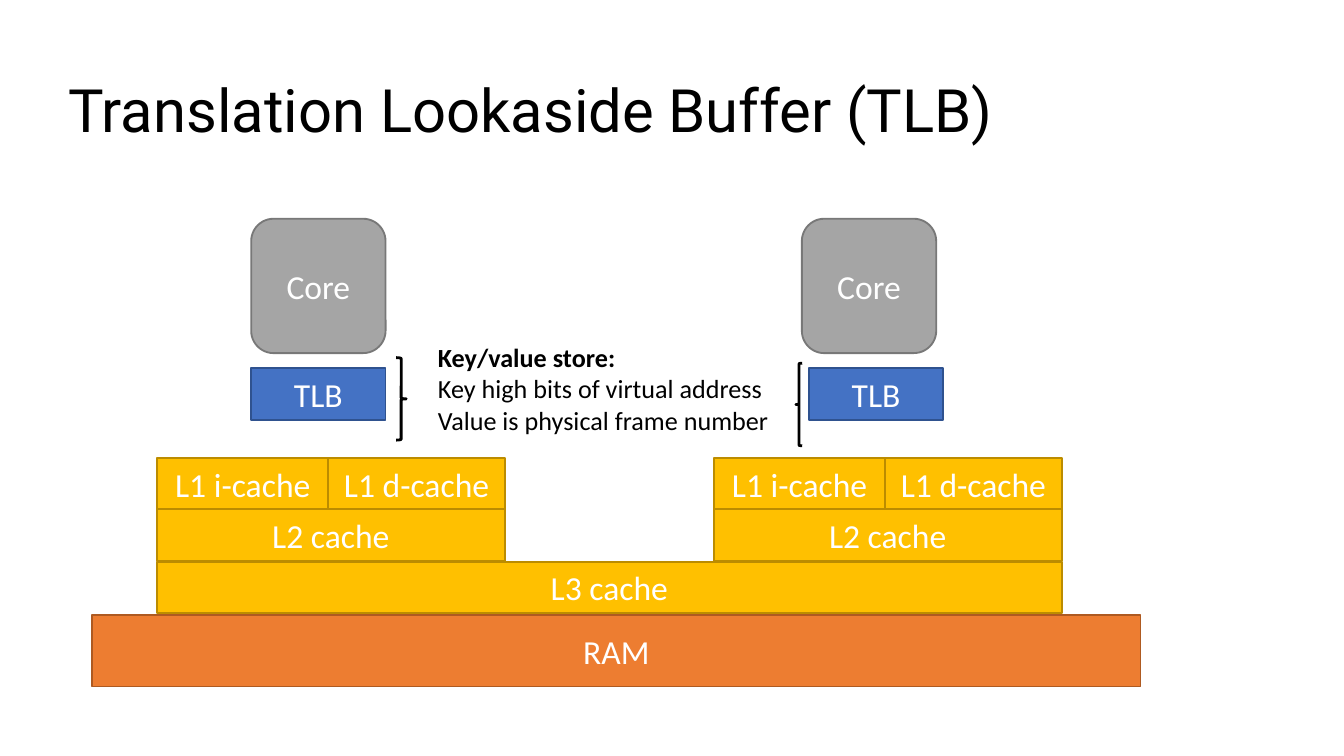
"""Build a slide showing the TLB within a two-core memory hierarchy."""
from pptx import Presentation
from pptx.dml.color import RGBColor
from pptx.enum.shapes import MSO_SHAPE
from pptx.enum.text import MSO_ANCHOR, PP_ALIGN
from pptx.util import Pt

COLORS = {
    "core": "A5A5A5", "core_line": "787878",
    "tlb": "4472C4", "tlb_line": "2F528F",
    "cache": "FFC000", "cache_line": "BC8C00",
    "ram": "ED7D31", "ram_line": "AE5A21",
    "white": "FFFFFF", "black": "000000",
}


def style_text(para, size, color, font="Calibri", bold=False):
    for span in para.runs:
        span.font.name = font
        span.font.size = Pt(size)
        span.font.bold = bold
        span.font.color.rgb = RGBColor.from_string(COLORS[color])


def add_block(label, kind, left, top, width, height, preset=MSO_SHAPE.RECTANGLE):
    block = slide.shapes.add_shape(preset, Pt(left), Pt(top), Pt(width), Pt(height))
    block.shadow.inherit = False
    block.fill.solid()
    block.fill.fore_color.rgb = RGBColor.from_string(COLORS[kind])
    block.line.color.rgb = RGBColor.from_string(COLORS[kind + "_line"])
    block.line.width = Pt(1)
    block.text_frame.text = label
    block.text_frame.vertical_anchor = MSO_ANCHOR.MIDDLE
    para = block.text_frame.paragraphs[0]
    para.alignment = PP_ALIGN.CENTER
    style_text(para, 18, "white")


deck = Presentation()
deck.slide_width, deck.slide_height = Pt(720), Pt(405)
slide = deck.slides.add_slide(deck.slide_layouts[6])

title = slide.shapes.add_textbox(Pt(29.5), Pt(21.6), Pt(661.7), Pt(78.5))
title.text_frame.word_wrap = True
title.text_frame.vertical_anchor = MSO_ANCHOR.MIDDLE
title.text_frame.text = "Translation Lookaside Buffer (TLB)"
title.text_frame.paragraphs[0].line_spacing = 0.9
style_text(title.text_frame.paragraphs[0], 32, "black", "Roboto")

row = 27.5
for core_left, tlb_left, cache_left in ((134.6, 134.6, 84.1), (429.6, 433.4, 382.4)):
    add_block("Core", "core", core_left, 117.2, 72, 72, MSO_SHAPE.ROUNDED_RECTANGLE)
    add_block("TLB", "tlb", tlb_left, 197.4, 72, row)
    add_block("L1 i-cache", "cache", cache_left, 245.4, 92, row)
    add_block("L1 d-cache", "cache", cache_left + 91.8, 245.4, 94.6, row)
    add_block("L2 cache", "cache", cache_left, 245.4 + row, 186.4, row)
add_block("L3 cache", "cache", 84.1, 301, 484.7, row)
add_block("RAM", "ram", 49.4, 329.6, 561.6, 38.2)

for preset, left, top, width in (
    (MSO_SHAPE.LEFT_BRACE, 426.4, 194.6, 3.4),
    (MSO_SHAPE.RIGHT_BRACE, 212.2, 191.6, 5.4),
):
    brace = slide.shapes.add_shape(preset, Pt(left), Pt(top), Pt(width), Pt(44.2))
    brace.shadow.inherit = False
    brace.fill.background()
    brace.line.color.rgb = RGBColor.from_string(COLORS["black"])
    brace.line.width = Pt(1.5)

note = slide.shapes.add_textbox(Pt(227.5), Pt(179.3), Pt(274.3), Pt(58.3))
note.text_frame.word_wrap = True
note.text_frame.text = (
    "Key/value store:\nKey high bits of virtual address\nValue is physical frame number"
)
for index, para in enumerate(note.text_frame.paragraphs):
    style_text(para, 14, "black", bold=index == 0)

deck.save("out.pptx")
